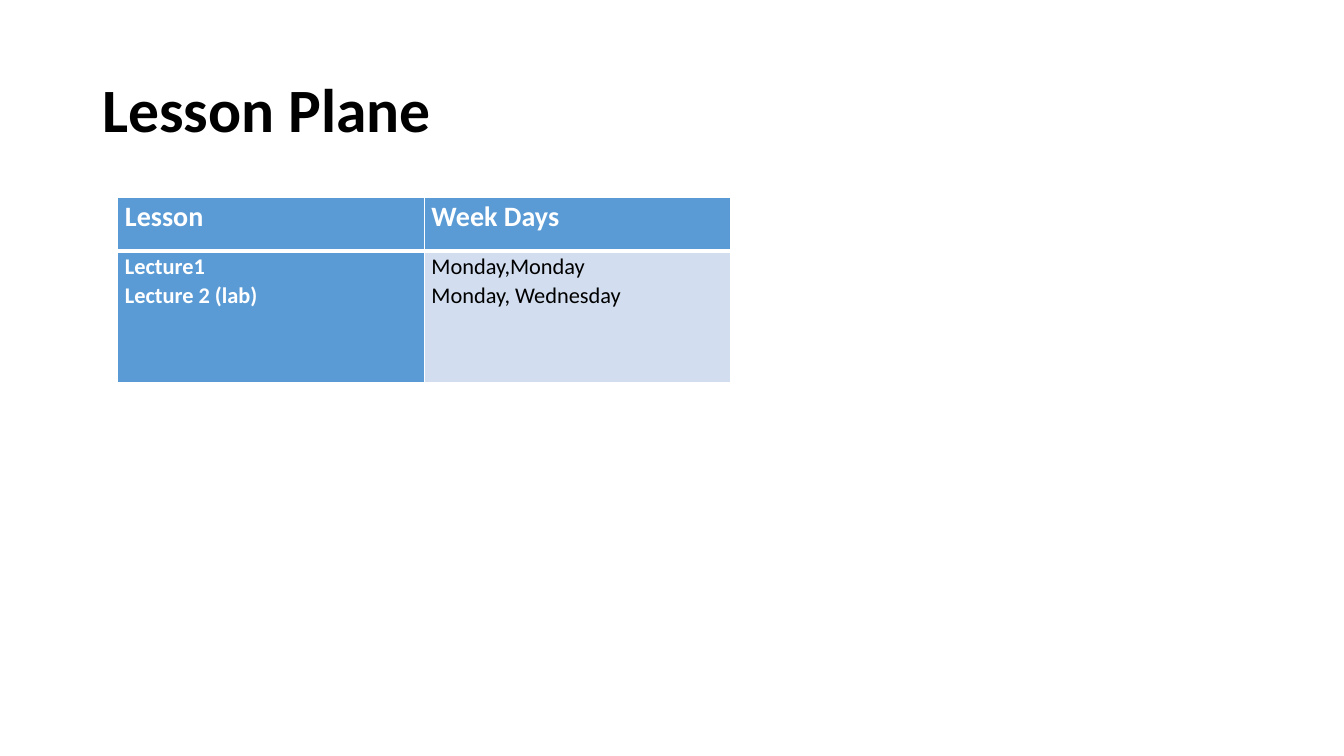
"""Build the lesson plan slide with its title and timetable."""
import dataclasses
import typing

import lxml.etree
import pptx
import pptx.dml.color
import pptx.enum.text
import pptx.oxml.ns
import pptx.slide
import pptx.table
import pptx.text.text
import pptx.util

EMU_PER_PX = 9525


@dataclasses.dataclass(frozen=True)
class Theme:
    font: str = "Calibri"
    black: str = "000000"
    white: str = "FFFFFF"
    blue: str = "5B9BD5"
    pale_blue: str = "D2DEEF"
    title_size: int = 44
    header_size: int = 20
    body_size: int = 16
    thin_border: int = 1
    header_border: int = 3


THEME = Theme()


class CellSpec(typing.NamedTuple):
    lines: tuple[str, ...]
    size: int
    fill: str = THEME.blue
    color: str = THEME.white
    bold: bool = True


COLUMN_WIDTHS = (292, 292)
ROW_HEIGHTS = (51, 125)
TIMETABLE = (
    (
        CellSpec(("Lesson",), THEME.header_size),
        CellSpec(("Week Days",), THEME.header_size),
    ),
    (
        CellSpec(("Lecture1", "Lecture 2 (lab)"), THEME.body_size),
        CellSpec(("Monday,Monday", "Monday, Wednesday"), THEME.body_size,
                 fill=THEME.pale_blue, color=THEME.black, bold=False),
    ),
)


def px(length: int) -> pptx.util.Emu:
    return pptx.util.Emu(length * EMU_PER_PX)


def write_text(text_frame: pptx.text.text.TextFrame, text: str, *, size: int,
               color: str, bold: bool, line_spacing: float) -> None:
    text_frame.word_wrap = True
    text_frame.text = text
    for paragraph in text_frame.paragraphs:
        paragraph.line_spacing = line_spacing
        paragraph.font.name = THEME.font
        paragraph.font.size = pptx.util.Pt(size)
        paragraph.font.bold = bold
        paragraph.font.color.rgb = pptx.dml.color.RGBColor.from_string(color)


def set_borders(cell: pptx.table._Cell, top: int, bottom: int) -> None:
    properties = cell._tc.get_or_add_tcPr()
    widths = {"a:lnL": THEME.thin_border, "a:lnR": THEME.thin_border,
              "a:lnT": top, "a:lnB": bottom}
    for position, (tag, width) in enumerate(widths.items()):
        line = lxml.etree.Element(pptx.oxml.ns.qn(tag), w=str(pptx.util.Pt(width)))
        fill = lxml.etree.SubElement(line, pptx.oxml.ns.qn("a:solidFill"))
        lxml.etree.SubElement(fill, pptx.oxml.ns.qn("a:srgbClr"), val=THEME.white)
        properties.insert(position, line)


def fill_cell(cell: pptx.table._Cell, spec: CellSpec, top: int, bottom: int) -> None:
    cell.margin_left = cell.margin_right = px(7)
    cell.margin_top = cell.margin_bottom = px(0)
    cell.fill.solid()
    cell.fill.fore_color.rgb = pptx.dml.color.RGBColor.from_string(spec.fill)
    write_text(cell.text_frame, "\n".join(spec.lines), size=spec.size,
               color=spec.color, bold=spec.bold, line_spacing=1.07)
    set_borders(cell, top, bottom)


def add_title(slide: pptx.slide.Slide) -> None:
    title = slide.shapes.add_textbox(px(88), px(38), px(1104), px(139))
    title.text_frame.vertical_anchor = pptx.enum.text.MSO_ANCHOR.MIDDLE
    write_text(title.text_frame, "Lesson Plane", size=THEME.title_size,
               color=THEME.black, bold=True, line_spacing=0.9)


def add_timetable(slide: pptx.slide.Slide) -> None:
    table = slide.shapes.add_table(
        len(ROW_HEIGHTS), len(COLUMN_WIDTHS), px(112), px(188),
        px(sum(COLUMN_WIDTHS)), px(sum(ROW_HEIGHTS))).table
    for column, width in zip(table.columns, COLUMN_WIDTHS):
        column.width = px(width)
    for row, height in zip(table.rows, ROW_HEIGHTS):
        row.height = px(height)
    edges = (THEME.thin_border, THEME.header_border, THEME.thin_border)
    for row_index, specs in enumerate(TIMETABLE):
        for column_index, spec in enumerate(specs):
            fill_cell(table.cell(row_index, column_index), spec,
                      edges[row_index], edges[row_index + 1])


def main() -> None:
    presentation = pptx.Presentation()
    presentation.slide_width = px(1280)
    presentation.slide_height = px(720)
    slide = presentation.slides.add_slide(presentation.slide_layouts[6])
    add_title(slide)
    add_timetable(slide)
    presentation.save("out.pptx")


if __name__ == "__main__":
    main()
